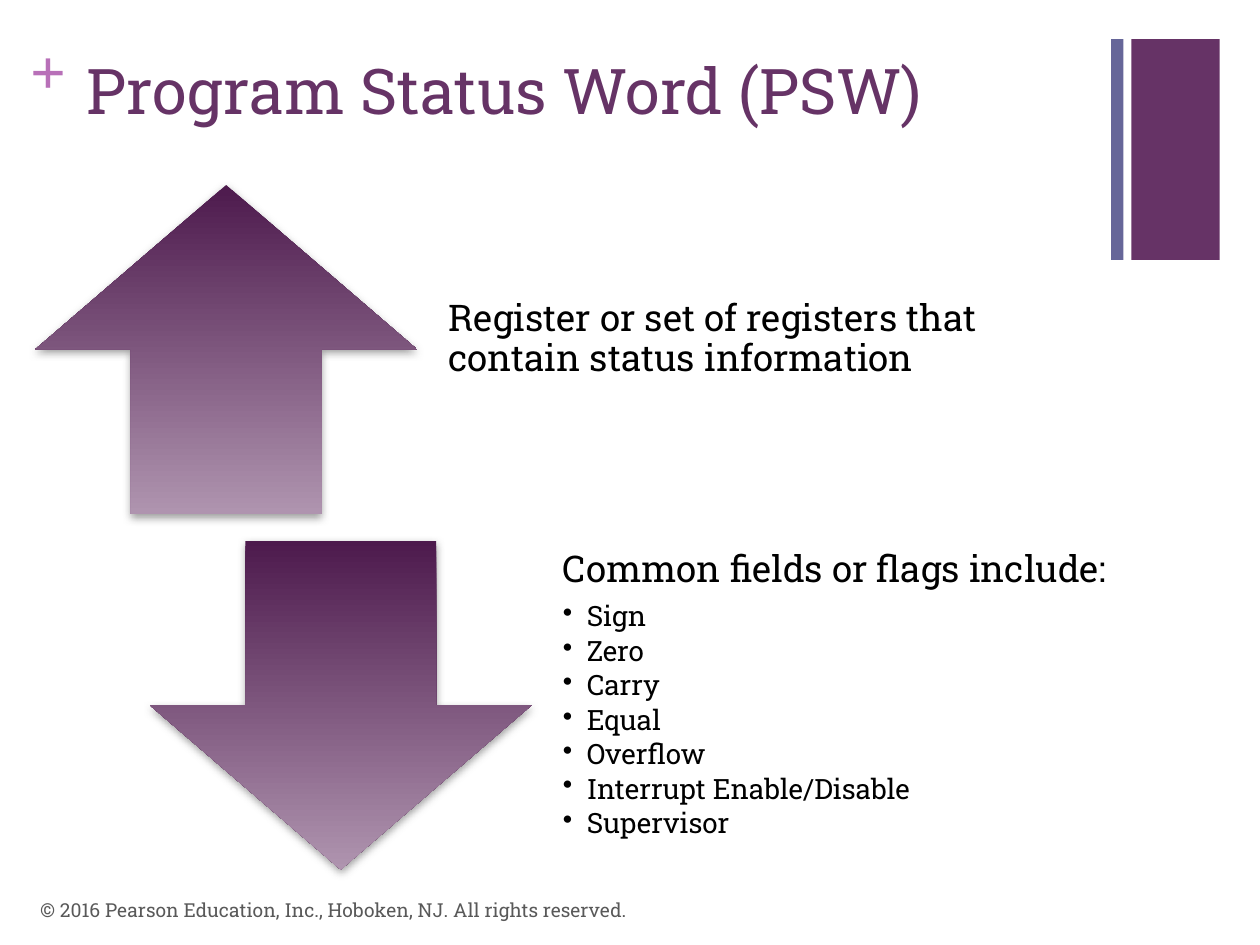
from lxml.etree import SubElement
from pptx import Presentation
from pptx.dml.color import RGBColor
from pptx.enum.shapes import MSO_SHAPE
from pptx.enum.text import MSO_ANCHOR
from pptx.oxml.ns import qn
from pptx.util import Cm, Pt

PURPLE = RGBColor(0x66, 0x33, 0x66)
BLUE = RGBColor(0x66, 0x66, 0x99)
ORCHID = RGBColor(0xB8, 0x70, 0xB8)
DARK = RGBColor(0x4D, 0x1A, 0x4D)
PALE = RGBColor(0xAF, 0x94, 0xAF)
BLACK = RGBColor(0x00, 0x00, 0x00)
GRAY = RGBColor(0x59, 0x59, 0x59)
FONT = "Roboto Slab"
FLAGS = ["Sign", "Zero", "Carry", "Equal", "Overflow",
         "Interrupt Enable/Disable", "Supervisor"]
HEADING = {"line_spacing": 0.9, "space_after": Pt(7.35)}
BULLET = {"level": 1, "line_spacing": 0.9, "space_after": Pt(2.4)}


def set_attrs(obj, values):
    """Set each named attribute of an object."""
    for name, value in values.items():
        setattr(obj, name, value)


def add_text(p, text, size, color, font=FONT, bold=False):
    """Add one formatted run to a paragraph."""
    r = p.add_run()
    r.text = text
    set_attrs(r.font, {"name": font, "size": Pt(size), "bold": bold})
    r.font.color.rgb = color


def add_box(s, box, margins=(0.25, 0.13, 0.25, 0.13), anchor=MSO_ANCHOR.TOP):
    """Add a wrapping text box and return its text frame."""
    tf = s.shapes.add_textbox(*map(Cm, box)).text_frame
    left, top, right, bottom = map(Cm, margins)
    set_attrs(tf, {"word_wrap": True, "vertical_anchor": anchor,
                   "margin_left": left, "margin_top": top,
                   "margin_right": right, "margin_bottom": bottom})
    return tf


def add_bar(s, left, width, color):
    """Add a plain bar at the top right."""
    sp = s.shapes.add_shape(MSO_SHAPE.RECTANGLE, Cm(left), Cm(0.79), Cm(width), Cm(4.45))
    sp.shadow.inherit = False
    sp.fill.solid()
    sp.fill.fore_color.rgb = color
    sp.line.fill.background()


def add_shadow(sp):
    """Give a shape a soft gray shadow below it."""
    sp.shadow.inherit = False
    effects = sp._element.spPr.find(qn("a:effectLst"))
    shadow = SubElement(effects, qn("a:outerShdw"), blurRad=str(Pt(5)),
                        dist=str(Pt(2)), dir="5400000", rotWithShape="0")
    color = SubElement(shadow, qn("a:srgbClr"), val="808080")
    SubElement(color, qn("a:alpha"), val="75000")


def add_arrow(s, kind, left, top):
    """Add a block arrow with a vertical gradient."""
    sp = s.shapes.add_shape(kind, Cm(left), Cm(top), Cm(7.7), Cm(6.63))
    sp.fill.gradient()
    sp.fill.gradient_angle = 270
    for stop, color, position in zip(sp.fill.gradient_stops, (DARK, PALE), (0, 1)):
        stop.color.rgb = color
        stop.position = position
    sp.line.fill.background()
    add_shadow(sp)


def add_bullet(p, text):
    """Fill a paragraph as a bulleted item."""
    set_attrs(p, BULLET)
    pPr = p._p.get_or_add_pPr()
    pPr.set("marL", str(Cm(0.48)))
    pPr.set("indent", str(-Cm(0.48)))
    SubElement(pPr, qn("a:buChar"), char="•")
    add_text(p, text, 16, BLACK)


def add_topic(s, kind, left, top, heading, items=()):
    """Add an arrow with its heading and bulleted items."""
    add_arrow(s, kind, left, top)
    tf = add_box(s, (left + 7.92, top, 13.08, 6.63), (0.41, 0, 0.41, 0.41),
                 MSO_ANCHOR.MIDDLE)
    p = tf.paragraphs[0]
    set_attrs(p, HEADING)
    add_text(p, heading, 21, BLACK)
    for item in items:
        add_bullet(tf.add_paragraph(), item)


def main():
    """Build the slide and save it."""
    prs = Presentation()
    set_attrs(prs, {"slide_width": Cm(25.4), "slide_height": Cm(19.05)})
    s = prs.slides.add_slide(prs.slide_layouts[6])
    add_bar(s, 22.81, 1.78, PURPLE)
    add_bar(s, 22.4, 0.25, BLUE)
    plus = add_box(s, (0.61, 0.64, 0.74, 1.55), (0, 0, 0, 0))
    add_text(plus.paragraphs[0], "+", 36, ORCHID, "Times New Roman", True)
    title = add_box(s, (1.5, 0.91, 20.98, 3.1))
    add_text(title.paragraphs[0], "Program Status Word (PSW)", 36, PURPLE)
    add_topic(s, MSO_SHAPE.UP_ARROW, 0.71, 3.73,
              "Register or set of registers that contain status information")
    add_topic(s, MSO_SHAPE.DOWN_ARROW, 3.02, 10.9,
              "Common fields or flags include:", FLAGS)
    footer = add_box(s, (0.56, 17.83, 17.02, 1.02), anchor=MSO_ANCHOR.MIDDLE)
    add_text(footer.paragraphs[0],
             "© 2016 Pearson Education, Inc., Hoboken, NJ. All rights reserved.", 11, GRAY)
    prs.save("out.pptx")


if __name__ == "__main__":
    main()
